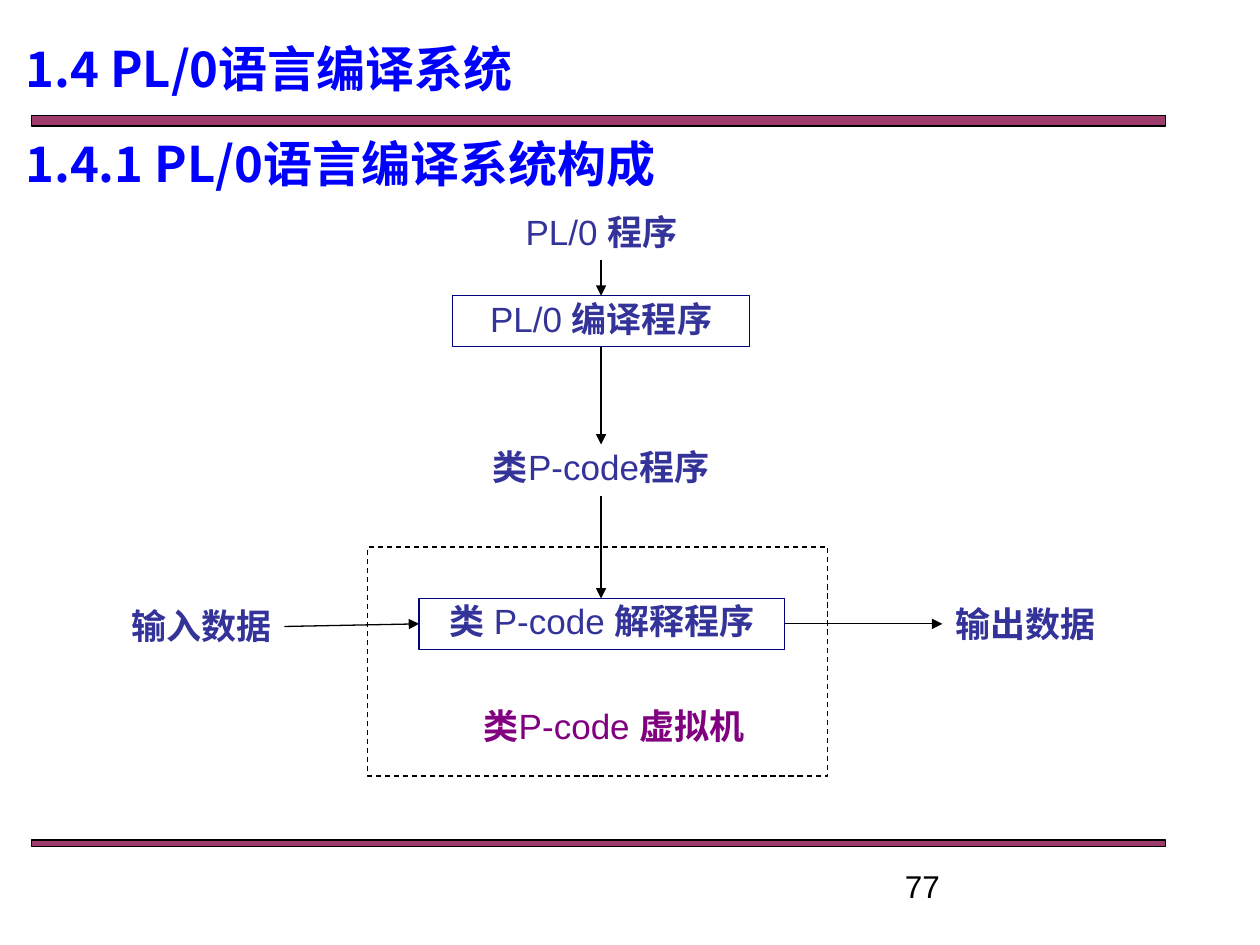
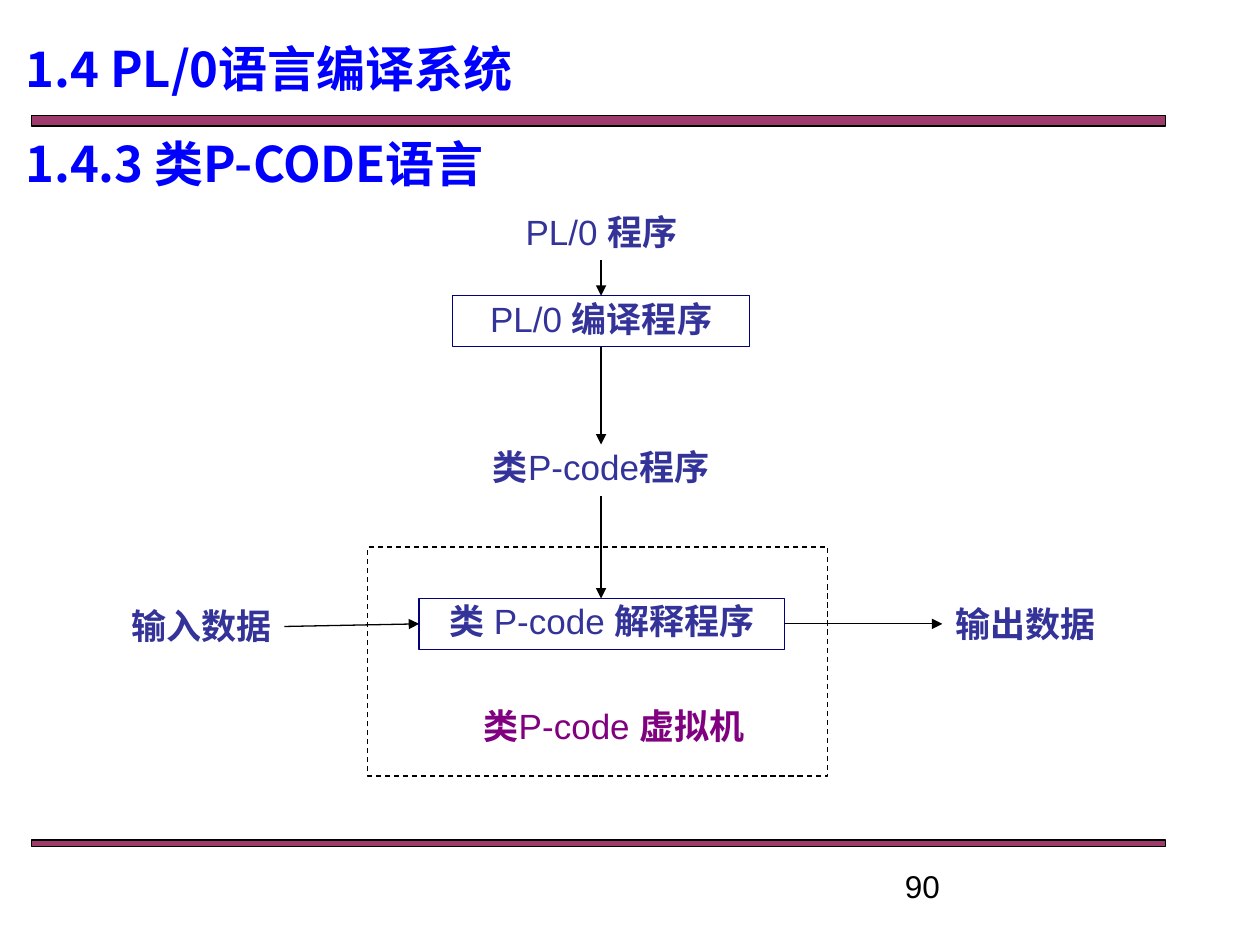
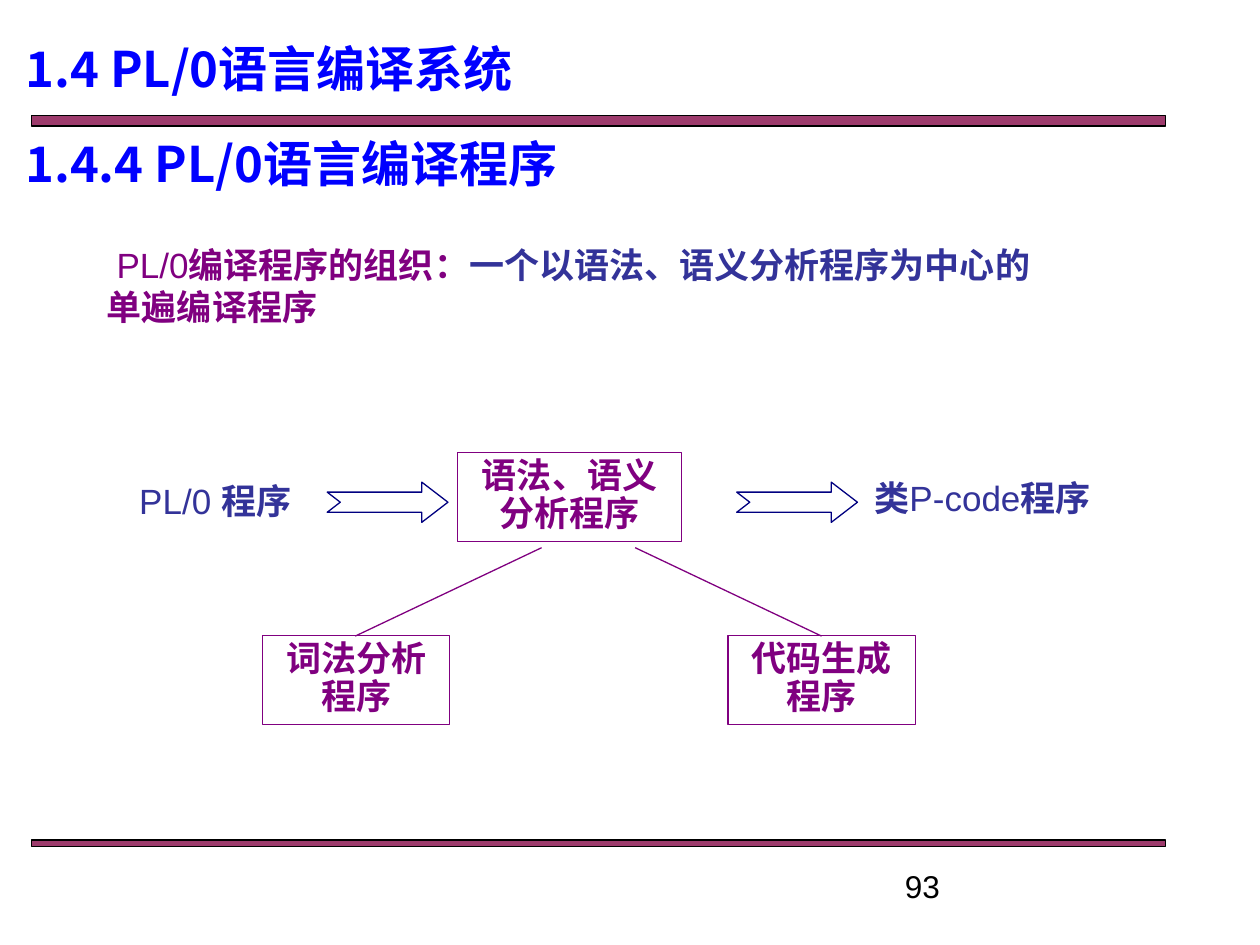
from dataclasses import dataclass
from itertools import groupby

from lxml.etree import SubElement
from pptx import Presentation
from pptx.dml.color import RGBColor
from pptx.enum.dml import MSO_LINE_DASH_STYLE as Dash
from pptx.enum.shapes import MSO_CONNECTOR as Connector, MSO_SHAPE as Preset
from pptx.enum.text import MSO_ANCHOR as Anchor, MSO_AUTO_SIZE as AutoSize, PP_ALIGN as Align
from pptx.oxml.ns import qn
from pptx.util import Pt

COLORS = {
    "band": "993366",
    "heading": "0000FF",
    "text": "333399",
    "accent": "800080",
    "frame": "000080",
    "black": "000000",
    "white": "FFFFFF",
}
BODY_FONT = "Arial"
HEADING_FONT = "Noto Sans CJK SC"
SECTION = "1.4 PL/0语言编译系统"
LINE_WIDTH = Pt(0.75)


@dataclass
class Area:
    left: float
    top: float
    width: float
    height: float

    def lengths(self) -> list:
        return [Pt(v) for v in (self.left, self.top, self.width, self.height)]


@dataclass
class Label:
    text: str
    area: Area
    color: str = "text"
    outline: str = ""
    wrap: bool = True
    spacing: float = 0.9


@dataclass
class Line:
    start: tuple
    end: tuple
    color: str = "black"
    arrow: bool = True


BANDS = [Area(18, 66, 648, 6), Area(18, 480, 648, 3.6)]
MACHINE_FRAME = Area(210, 312.5, 263, 131)
FLOW_X = 343.5
DATA_Y = 356.5
FLOW_LABELS = [
    Label("输入数据", Area(67.5, 342, 95, 31.5), wrap=False, spacing=1),
    Label("输出数据", Area(538.5, 340.5, 95, 31.5), wrap=False, spacing=1),
    Label("PL/0 程序", Area(270, 119.5, 147.5, 29)),
    Label("类P-code程序", Area(244, 254, 199, 29)),
    Label("PL/0 编译程序", Area(258.5, 169, 170, 29), outline="frame"),
    Label("类 P-code 解释程序", Area(239.5, 342, 209, 29), outline="frame"),
    Label("类P-code 虚拟机", Area(229, 402, 244, 29), color="accent"),
]
FLOW_LINES = [
    Line((FLOW_X, 148.5), (FLOW_X, 169)),
    Line((FLOW_X, 198.5), (FLOW_X, 254)),
    Line((FLOW_X, 283.5), (FLOW_X, 342)),
    Line((162.5, 358), (239.5, DATA_Y)),
    Line((448.5, DATA_Y), (538.5, DATA_Y)),
]

COMPILER_LABELS = [
    Label("PL/0 程序", Area(54, 273, 138, 30)),
    Label("类P-code程序", Area(492.5, 271.5, 138, 51)),
    Label("语法、语义分析程序", Area(261.5, 258.5, 128, 51), "accent", "accent"),
    Label("词法分析程序", Area(150, 363, 107, 51), "accent", "accent"),
    Label("代码生成程序", Area(416, 363, 107, 51), "accent", "accent"),
]
COMPILER_LINES = [
    Line((203, 363.5), (309.5, 313), "accent", arrow=False),
    Line((363, 313), (469.5, 363.5), "accent", arrow=False),
]
BLOCK_ARROWS = [Area(left, 275.5, 69, 23) for left in (187, 421)]


def rgb(name: str) -> RGBColor:
    return RGBColor.from_string(COLORS[name])


def set_font(font, name: str, size: float, color: str, bold: bool) -> None:
    font.name, font.size, font.bold = name, Pt(size), bold
    font.color.rgb = rgb(color)


def use_east_asian(span, name: str) -> None:
    properties = span.font._element if hasattr(span.font, "_element") else span._r.get_or_add_rPr()
    properties.set("lang", "zh-CN")
    SubElement(properties, qn("a:ea")).set("typeface", name)


def add_spans(para, text: str, color: str) -> None:
    """Append text, with Chinese bold and Latin regular."""
    for latin, letters in groupby(text, key=str.isascii):
        span = para.add_run()
        span.text = "".join(letters)
        set_font(span.font, BODY_FONT, 20, color, not latin)
        use_east_asian(span, BODY_FONT)


def add_preset(page, preset, area: Area, outline: str, fill: str = ""):
    shape = page.shapes.add_shape(preset, *area.lengths())
    shape.shadow.inherit = False
    shape.line.color.rgb = rgb(outline)
    shape.line.width = LINE_WIDTH
    if fill:
        shape.fill.solid()
        shape.fill.fore_color.rgb = rgb(fill)
    else:
        shape.fill.background()
    return shape


def add_label(page, label: Label) -> None:
    if label.outline:
        box = add_preset(page, Preset.RECTANGLE, label.area, label.outline)
    else:
        box = page.shapes.add_textbox(*label.area.lengths())
    frame = box.text_frame
    frame.word_wrap = label.wrap
    frame.vertical_anchor = Anchor.TOP
    para = frame.paragraphs[0]
    para.alignment = Align.CENTER
    para.line_spacing = label.spacing
    add_spans(para, label.text, label.color)


def add_line(page, line: Line) -> None:
    points = [Pt(v) for v in (*line.start, *line.end)]
    connector = page.shapes.add_connector(Connector.STRAIGHT, *points)
    connector.line.color.rgb = rgb(line.color)
    connector.line.width = LINE_WIDTH
    if line.arrow:
        SubElement(connector.line._get_or_add_ln(), qn("a:tailEnd")).set("type", "triangle")
    SubElement(connector.element.spPr, qn("a:effectLst"))


def set_heading(holder, text: str, top: float) -> None:
    holder.left, holder.top, holder.width, holder.height = Area(-24, top, 612, 90).lengths()
    frame = holder.text_frame
    frame.text = text
    frame.auto_size = AutoSize.NONE
    frame.word_wrap = True
    frame.vertical_anchor = Anchor.MIDDLE
    frame.margin_left = Pt(38.5)
    para = frame.paragraphs[0]
    para.alignment = Align.LEFT
    para.space_before = Pt(0)
    properties = para._p.get_or_add_pPr()
    properties.set("marL", "0")
    properties.set("indent", "0")
    SubElement(properties, qn("a:buNone"))
    for span in para.runs:
        set_font(span.font, HEADING_FONT, 28, "heading", True)
        use_east_asian(span, HEADING_FONT)


def add_page(deck, heading: str, number: int):
    page = deck.slides.add_slide(deck.slide_layouts[1])
    set_heading(page.shapes.title, SECTION, -6)
    set_heading(page.placeholders[1], heading, 48)
    box = page.shapes.add_textbox(*Area(510, 492, 168, 19.5).lengths())
    box.text_frame.word_wrap = True
    box.text_frame.text = str(number)
    set_font(box.text_frame.paragraphs[0].runs[0].font, BODY_FONT, 18, "black", False)
    return page


def move_bands_to_master(deck, page) -> None:
    """Draw the bands on a page, then hand them to the master all pages share."""
    tree = deck.slide_master.element.cSld.spTree
    for shape_id, area in enumerate(BANDS, start=101):
        band = add_preset(page, Preset.RECTANGLE, area, "black", "band")
        color = band.element.spPr.find(qn("a:solidFill"))[0]
        SubElement(color, qn("a:alpha")).set("val", "96000")
        band.element.nvSpPr.cNvPr.set("id", str(shape_id))
        tree.append(band.element)


def add_diagram(page, labels: list, lines: list) -> None:
    for label in labels:
        add_label(page, label)
    for line in lines:
        add_line(page, line)


def add_flow_page(deck, heading: str, number: int):
    page = add_page(deck, heading, number)
    add_diagram(page, FLOW_LABELS, FLOW_LINES)
    frame = add_preset(page, Preset.RECTANGLE, MACHINE_FRAME, "black")
    frame.line.dash_style = Dash.DASH
    return page


def add_compiler_page(deck) -> None:
    page = add_page(deck, "1.4.4 PL/0语言编译程序", 93)
    add_diagram(page, COMPILER_LABELS, COMPILER_LINES)
    for area in BLOCK_ARROWS:
        arrow = add_preset(page, Preset.NOTCHED_RIGHT_ARROW, area, "frame", "white")
        arrow.adjustments[0], arrow.adjustments[1] = 0.5, 0.65
    box = page.shapes.add_textbox(*Area(54, 135.5, 649.5, 55.5).lengths())
    box.text_frame.word_wrap = True
    first = box.text_frame.paragraphs[0]
    first._p.get_or_add_pPr().set("indent", str(Pt(5.5)))
    add_spans(first, "PL/0编译程序的组织：", "accent")
    add_spans(first, "一个以语法、语义分析程序为中心的", "text")
    add_spans(box.text_frame.add_paragraph(), "单遍编译程序", "accent")


def main() -> None:
    deck = Presentation()
    deck.slide_width, deck.slide_height = Pt(720), Pt(540)
    page = add_flow_page(deck, "1.4.1 PL/0语言编译系统构成", 77)
    move_bands_to_master(deck, page)
    add_flow_page(deck, "1.4.3 类P-CODE语言", 90)
    add_compiler_page(deck)
    deck.save("out.pptx")


if __name__ == "__main__":
    main()
